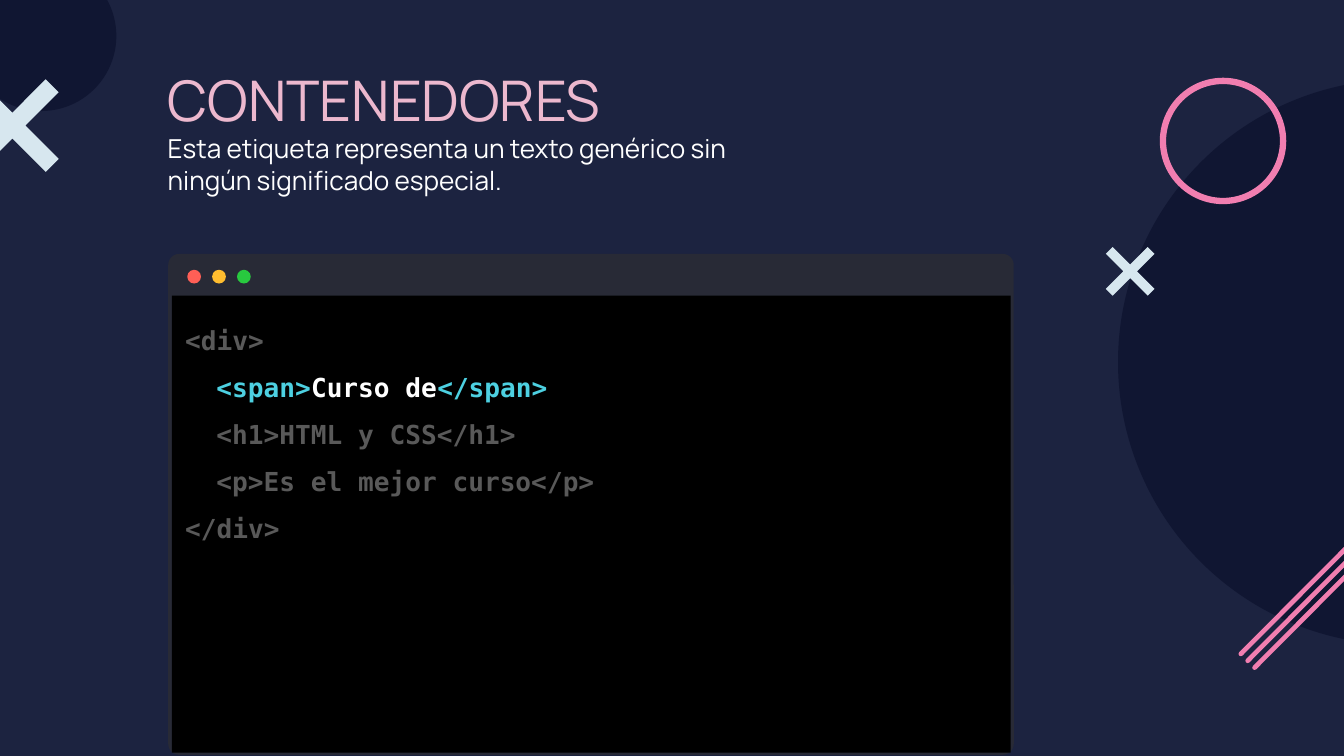
from lxml.etree import SubElement
from pptx import Presentation
from pptx.dml.color import RGBColor
from pptx.enum.shapes import MSO_CONNECTOR, MSO_SHAPE
from pptx.enum.text import MSO_ANCHOR, PP_ALIGN
from pptx.oxml.ns import qn
from pptx.util import Cm, Pt

NAVY = RGBColor(0x1C, 0x23, 0x40)
DARK_NAVY = RGBColor(0x10, 0x16, 0x32)
PINK = RGBColor(0xF1, 0x7E, 0xB0)
ROSE = RGBColor(0xEC, 0xB8, 0xCE)
ICE = RGBColor(0xD7, 0xE7, 0xEF)
WHITE = RGBColor(0xFF, 0xFF, 0xFF)
BLACK = RGBColor(0x00, 0x00, 0x00)
GREY = RGBColor(0x59, 0x59, 0x59)
CYAN = RGBColor(0x4D, 0xD0, 0xE1)
FRAME = RGBColor(0x28, 0x2A, 0x36)
RED = RGBColor(0xFF, 0x5F, 0x56)
YELLOW = RGBColor(0xFF, 0xBD, 0x2F)
GREEN = RGBColor(0x28, 0xC9, 0x3F)

CODE_FONT = "DejaVu Sans Mono"
TEXT_FONT = "Manrope"
CODE_INDENT = Cm(0.59)


class SlideBuilder:
    """Holds the slide and draws its elements; lengths are in centimetres."""

    def __init__(self, slide, background):
        self.slide = slide
        self.shapes = slide.shapes
        slide.background.fill.solid()
        slide.background.fill.fore_color.rgb = background

    def paint(self, shape, color):
        shape.shadow.inherit = False
        shape.fill.solid()
        shape.fill.fore_color.rgb = color
        shape.line.fill.background()
        return shape

    def block(self, kind, left, top, width, height, color, adjustment=None):
        shape = self.shapes.add_shape(kind, Cm(left), Cm(top), Cm(width), Cm(height))
        if adjustment is not None:
            shape.adjustments[0] = adjustment
        return self.paint(shape, color)

    def circle(self, left, top, diameter, color):
        return self.block(MSO_SHAPE.OVAL, left, top, diameter, diameter, color)

    def cross(self, left, top, size, color):
        """Diagonal cross, traced clockwise from its upper left arm."""
        arm = size * 0.14
        middle, far = size / 2, size - arm
        corners = [(arm, 0), (middle, middle - arm), (far, 0), (size, arm),
                   (middle + arm, middle), (size, far), (far, size),
                   (middle, middle + arm), (arm, size), (0, far),
                   (middle - arm, middle), (0, arm)]
        points = [(Cm(left + x), Cm(top + y)) for x, y in corners]
        outline = self.shapes.build_freeform(*points[0])
        outline.add_line_segments(points[1:], close=True)
        return self.paint(outline.convert_to_shape(), color)

    def stripe(self, x1, y1, x2, y2, color, width):
        stripe = self.shapes.add_connector(
            MSO_CONNECTOR.STRAIGHT, Cm(x1), Cm(y1), Cm(x2), Cm(y2))
        stripe.line.color.rgb = color
        stripe.line.width = Pt(width)
        stripe.line._get_or_add_ln().set("cap", "rnd")
        SubElement(stripe._element.spPr, qn("a:effectLst"))

    def text_box(self, left, top, width, height):
        return self.shapes.add_textbox(Cm(left), Cm(top), Cm(width), Cm(height))

    def fill_text(self, shape, lines, font, bold=False, spacing=1.0):
        """Each line is (indent, size, [(text, color), ...])."""
        frame = shape.text_frame
        frame.word_wrap = True
        frame.vertical_anchor = MSO_ANCHOR.TOP
        frame.margin_left = frame.margin_right = Cm(0.25)
        frame.margin_top = frame.margin_bottom = Cm(0.25)
        for number, (indent, size, pieces) in enumerate(lines):
            paragraph = frame.add_paragraph() if number else frame.paragraphs[0]
            paragraph.alignment = PP_ALIGN.LEFT
            paragraph.line_spacing = spacing
            paragraph._p.get_or_add_pPr().set("marL", str(indent))
            for text, color in pieces:
                run = paragraph.add_run()
                run.text = text
                run.font.name = font
                run.font.size = Pt(size)
                run.font.bold = bold
                run.font.color.rgb = color


def main():
    presentation = Presentation()
    presentation.slide_width, presentation.slide_height = Cm(25.4), Cm(14.29)
    slide = presentation.slides.add_slide(presentation.slide_layouts[6])
    builder = SlideBuilder(slide, NAVY)

    # Code window
    builder.block(MSO_SHAPE.ROUNDED_RECTANGLE, 3.18, 4.8, 15.98, 9.47, FRAME, 0.022)
    for position, color in enumerate((RED, YELLOW, GREEN)):
        builder.circle(3.54 + 0.47 * position, 5.1, 0.26, color)
    code = builder.block(MSO_SHAPE.RECTANGLE, 3.25, 5.59, 15.85, 8.64, BLACK)
    builder.fill_text(code, [
        (0, 14, [("<div>", GREY)]),
        (CODE_INDENT, 14, [("<span>", CYAN), ("Curso de", WHITE), ("</span>", CYAN)]),
        (CODE_INDENT, 14, [("<h1>HTML y CSS</h1>", GREY)]),
        (CODE_INDENT, 14, [("<p>Es el mejor curso</p>", GREY)]),
        (0, 14, [("</div>", GREY)]),
    ], CODE_FONT, bold=True, spacing=1.5)

    # Heading and description
    heading = builder.text_box(2.92, 0.99, 12.34, 2.18)
    builder.fill_text(heading, [
        (0, 30, [("CONTENEDORES", ROSE)]),
        (0, 14, [("Esta etiqueta representa un texto genérico sin "
                  "ningún significado especial.", WHITE)]),
    ], TEXT_FONT)

    # Background circles
    builder.circle(-0.64, -0.74, 2.84, DARK_NAVY)
    builder.circle(21.13, 1.5, 10.69, DARK_NAVY)

    # Crosses, ring and stripes
    builder.cross(20.9, 4.67, 0.92, ICE)
    builder.block(MSO_SHAPE.DONUT, 21.92, 1.47, 2.39, 2.39, PINK, 0.05)
    for step in range(3):
        shift = 0.13 * step
        builder.stripe(23.45 + shift, 12.36 + shift,
                       25.7 + shift, 10.1 + shift, PINK, 2.5)
    builder.cross(-0.64, 1.5, 1.75, ICE)

    presentation.save("out.pptx")


if __name__ == "__main__":
    main()
